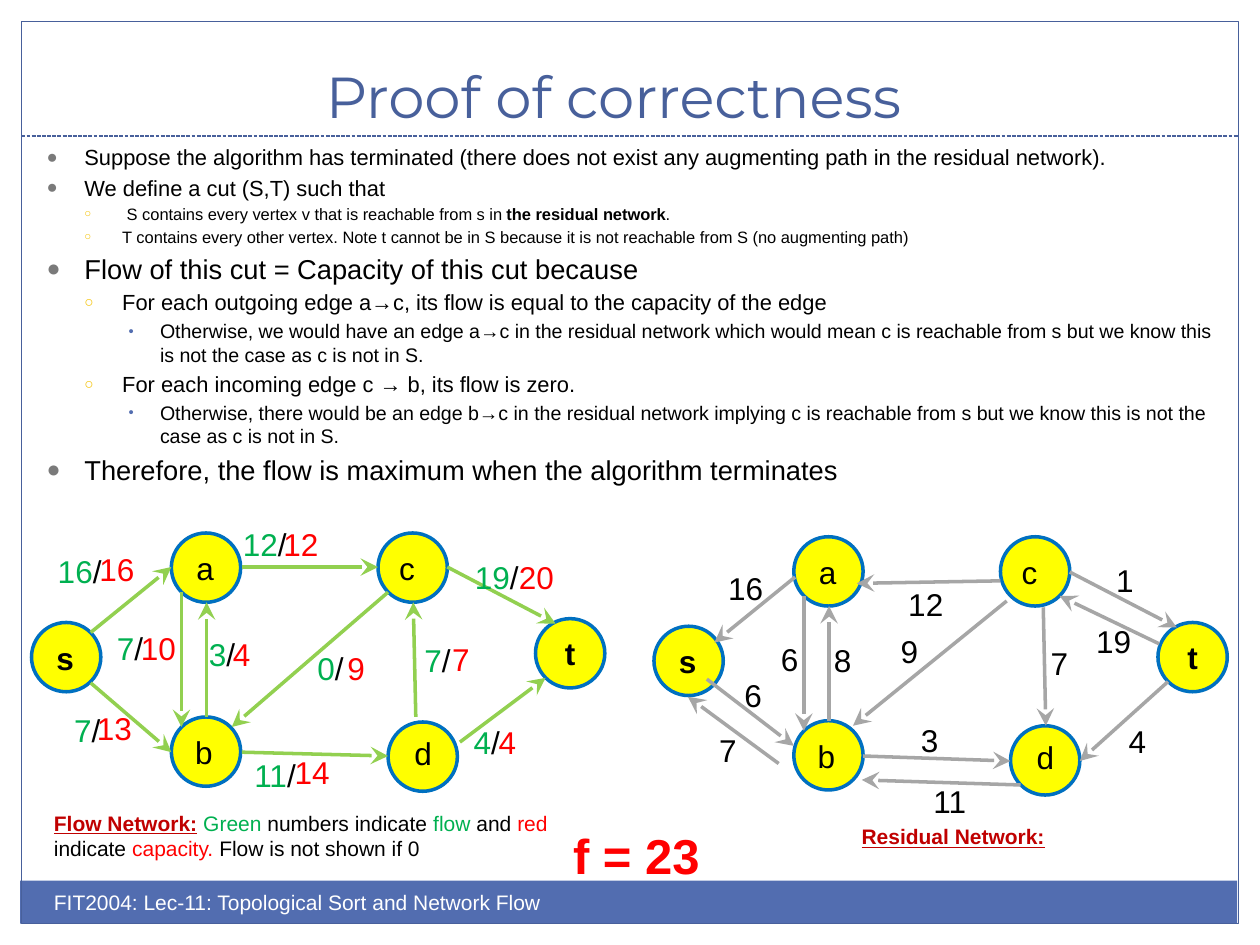
"""Build the max-flow proof slide with a flow network and its residual network."""
from dataclasses import dataclass
from typing import Any, Optional

import lxml.etree
import pptx
import pptx.dml.color
import pptx.enum.dml
import pptx.enum.shapes
import pptx.enum.text
import pptx.oxml.ns
import pptx.util

RGBColor = pptx.dml.color.RGBColor
BLACK = RGBColor(0x00, 0x00, 0x00)
WHITE = RGBColor(0xFF, 0xFF, 0xFF)
RED = RGBColor(0xFF, 0x00, 0x00)
DARK_RED = RGBColor(0xC0, 0x00, 0x00)
GREEN = RGBColor(0x00, 0xB0, 0x50)
LIME = RGBColor(0x92, 0xD0, 0x50)
GREY = RGBColor(0xA6, 0xA6, 0xA6)
YELLOW = RGBColor(0xFF, 0xFF, 0x00)
RING_BLUE = RGBColor(0x00, 0x70, 0xC0)
NAVY = RGBColor(0x48, 0x60, 0x9B)
BAR_BLUE = RGBColor(0x52, 0x6D, 0xB0)

PX = 9144
NODE_SIZE = 55
RESIDUAL_SHIFT = (494, 3)
SHAPES = pptx.enum.shapes.MSO_SHAPE
ANCHOR = pptx.enum.text.MSO_ANCHOR
ALIGN = pptx.enum.text.PP_ALIGN
AUTO_SIZE = pptx.enum.text.MSO_AUTO_SIZE


@dataclass(frozen=True)
class Bullet:
    char: str
    color: str
    percent: int
    left: int
    hang: int


@dataclass(frozen=True)
class Item:
    level: int
    size: float
    phrases: tuple[str, ...]


@dataclass(frozen=True)
class Node:
    name: str
    left: int
    top: int
    letter: Optional[tuple[int, int]] = (10, 8)
    bold: bool = False


@dataclass(frozen=True)
class Edge:
    x1: int
    y1: int
    x2: int
    y2: int


@dataclass(frozen=True)
class Label:
    text: str
    left: int
    top: int


BULLETS = (Bullet("●", "7A7A7A", 85, 30, 30), Bullet("○", "F5C201", 70, 60, 30),
           Bullet("•", "526DB0", 75, 90, 25))
ITEMS = (
    Item(0, 12.5, ("Suppose the algorithm has terminated (there does not exist any "
                   "augmenting path in the residual network).",)),
    Item(0, 12.5, ("We define a cut (S,T) such that",)),
    Item(1, 9.4, (" S contains every vertex v that is reachable from s in ",
                  "the residual network", ".")),
    Item(1, 9.4, ("T contains every other vertex. Note t cannot be in S because it is "
                  "not reachable from S (no augmenting path)",)),
    Item(0, 15.6, ("Flow of this cut = Capacity of this cut because",)),
    Item(1, 12.5, ("For each outgoing edge a→c, its flow is equal to the capacity of the edge",)),
    Item(2, 11.2, ("Otherwise, we would have an edge a→c in the residual network which would "
                   "mean c is reachable from s but we know this is not the case as c is not in S.",)),
    Item(1, 12.5, ("For each incoming edge c → b, its flow is zero.",)),
    Item(2, 11.2, ("Otherwise, there would be an edge b→c in the residual network implying c is "
                   "reachable from s but we know this is not the case as c is not in S.",)),
    Item(0, 15.6, ("Therefore, the flow is maximum when the algorithm terminates",)),
)
NODES = (Node("b", 136, 569, (9, 8)), Node("a", 136, 423), Node("d", 308, 573, (11, 5)),
         Node("c", 300, 423, (7, 8)), Node("s", 25, 494, bold=True),
         Node("t", 425, 491, None, True))
FLOW_EDGES = (
    Edge(72, 502, 136, 450), Edge(72, 542, 136, 597), Edge(144, 470, 144, 577),
    Edge(192, 450, 300, 450), Edge(355, 450, 441, 495), Edge(330, 569, 328, 478),
    Edge(308, 470, 184, 577), Edge(164, 569, 164, 478), Edge(192, 597, 308, 600),
    Edge(365, 589, 433, 538))
RESIDUAL_EDGES = (
    Edge(561, 539, 630, 592), Edge(638, 473, 638, 580), Edge(849, 454, 934, 498),
    Edge(799, 477, 677, 576), Edge(658, 572, 658, 481), Edge(685, 600, 802, 604),
    Edge(927, 541, 857, 604), Edge(631, 458, 567, 510), Edge(794, 461, 680, 463),
    Edge(810, 623, 684, 619), Edge(828, 482, 830, 576), Edge(920, 511, 841, 473),
    Edge(618, 606, 546, 553))
CAPACITIES = (
    Label("16", 69, 432), Label("13", 67, 558), Label("10", 102, 494), Label("4", 175, 499),
    Label("9", 266, 510), Label("14", 224, 593), Label("20", 402, 438), Label("7", 349, 503),
    Label("12", 215, 412), Label("4", 386, 569))
FLOWS = (
    Label("12", 183, 412), Label("0", 242, 510), Label("11", 192, 595), Label("4", 366, 569),
    Label("7", 83, 494), Label("7", 327, 504), Label("19", 367, 438), Label("16", 36, 433),
    Label("7", 49, 559), Label("3", 156, 499))
RESIDUALS = (
    Label("6", 581, 532), Label("6", 610, 503), Label("8", 652, 504), Label("9", 705, 497),
    Label("3", 721, 567), Label("1", 876, 440), Label("7", 824, 506), Label("4", 886, 568),
    Label("16", 568, 447), Label("12", 711, 459), Label("11", 731, 616),
    Label("19", 860, 489), Label("7", 561, 575))
LEGEND = ((" Green", GREEN), (" numbers indicate ", BLACK), ("flow", GREEN), (" and ", BLACK),
          ("red", RED), (" indicate ", BLACK), ("capacity. ", RED),
          ("Flow is not shown if 0", BLACK))


def add_span(para: Any, text: str, *, size: float = 18, color: RGBColor = BLACK,
             bold: bool = False, underline: bool = False, font: str = "Arial") -> None:
    """Append one formatted run."""
    span = para.add_run()
    span.text = text
    span.font.name, span.font.size = font, pptx.util.Pt(size)
    span.font.bold, span.font.underline = bold, underline
    span.font.color.rgb = color


def place(shape: Any, left: int, top: int, width: int, height: int) -> None:
    """Move and size a shape."""
    shape.left, shape.top, shape.width, shape.height = (
        side * PX for side in (left, top, width, height))


def add_box(page: Any, left: int, top: int, width: int, height: int, wrap: bool = False) -> Any:
    """Add a text box and return its first paragraph."""
    box = page.shapes.add_textbox(left * PX, top * PX, width * PX, height * PX)
    box.text_frame.word_wrap = wrap
    box.text_frame.auto_size = AUTO_SIZE.SHAPE_TO_FIT_TEXT
    return box.text_frame.paragraphs[0]


def add_shape(page: Any, kind: Any, left: int, top: int, width: int, height: int,
              fill: Optional[RGBColor], line: Optional[RGBColor], weight: float = 0.75) -> Any:
    """Add a flat preset shape."""
    shape = page.shapes.add_shape(kind, left * PX, top * PX, width * PX, height * PX)
    shape.shadow.inherit = False
    for paint, color in ((shape.fill, fill), (shape.line.fill, line)):
        if color is None:
            paint.background()
        else:
            paint.solid()
            paint.fore_color.rgb = color
    if line is not None:
        shape.line.width = pptx.util.Pt(weight)
    return shape


def add_line(page: Any, edge: Edge, color: RGBColor, weight: float, arrow: bool = True) -> Any:
    """Add a straight line, with an arrowhead at its end if wanted."""
    line = page.shapes.add_connector(pptx.enum.shapes.MSO_CONNECTOR.STRAIGHT, edge.x1 * PX,
                                     edge.y1 * PX, edge.x2 * PX, edge.y2 * PX)
    line.line.color.rgb, line.line.width = color, pptx.util.Pt(weight)
    properties = line.element.spPr
    if arrow:
        lxml.etree.SubElement(properties.find(pptx.oxml.ns.qn("a:ln")),
                              pptx.oxml.ns.qn("a:tailEnd"), type="stealth", w="lg", len="lg")
    lxml.etree.SubElement(properties, pptx.oxml.ns.qn("a:effectLst"))
    return line


def set_bullet(para: Any, bullet: Bullet) -> None:
    """Give a paragraph its bullet and hanging indent."""
    properties = para._p.get_or_add_pPr()
    properties.set("marL", str(bullet.left * PX))
    properties.set("indent", str(-bullet.hang * PX))
    qn = pptx.oxml.ns.qn
    color = lxml.etree.SubElement(properties, qn("a:buClr"))
    lxml.etree.SubElement(color, qn("a:srgbClr"), val=bullet.color)
    lxml.etree.SubElement(properties, qn("a:buSzPct"), val=str(bullet.percent * 1000))
    lxml.etree.SubElement(properties, qn("a:buFont"), typeface="Arial")
    lxml.etree.SubElement(properties, qn("a:buChar"), char=bullet.char)


def fill_placeholders(page: Any) -> None:
    """Write the title and the bulleted argument."""
    title, body = page.shapes.title, page.placeholders[1]
    place(title, 8, 25, 958, 83)
    place(body, 27, 109, 948, 262)
    for holder, anchor in ((title, ANCHOR.BOTTOM), (body, ANCHOR.TOP)):
        holder.text_frame.auto_size = AUTO_SIZE.NONE
        holder.text_frame.vertical_anchor = anchor
    heading = title.text_frame.paragraphs[0]
    heading.alignment = ALIGN.CENTER
    add_span(heading, "Proof of correctness", size=33, color=NAVY, font="Montserrat")
    for index, item in enumerate(ITEMS):
        para = body.text_frame.add_paragraph() if index else body.text_frame.paragraphs[0]
        para.level = item.level
        set_bullet(para, BULLETS[item.level])
        if index == 0:
            para.space_before = pptx.util.Pt(0)
        for order, phrase in enumerate(item.phrases):
            add_span(para, phrase, size=item.size, bold=order == 1)


def draw_graph(page: Any, edges: tuple[Edge, ...], color: RGBColor,
               shift: tuple[int, int] = (0, 0)) -> None:
    """Draw the six vertices and the given edges."""
    for node in NODES:
        left, top = node.left + shift[0], node.top + shift[1]
        circle = add_shape(page, SHAPES.OVAL, left, top, NODE_SIZE, NODE_SIZE,
                           YELLOW, RING_BLUE, 2)
        if node.letter:
            para = add_box(page, left + node.letter[0], top + node.letter[1], 34, 40)
        else:
            circle.text_frame.vertical_anchor = ANCHOR.MIDDLE
            para = circle.text_frame.paragraphs[0]
            para.alignment = ALIGN.CENTER
        add_span(para, node.name, bold=node.bold)
    for edge in edges:
        add_line(page, edge, color, 2)


def draw_labels(page: Any, labels: tuple[Label, ...], color: RGBColor, slash: bool = False) -> None:
    """Write edge numbers, each followed by a slash if wanted."""
    for label in labels:
        width = 20 + 14 * len(label.text) + 7 * slash
        para = add_box(page, label.left, label.top, width, 40)
        add_span(para, label.text, color=color)
        if slash:
            add_span(para, "/")


def main() -> None:
    """Build and save the deck."""
    deck = pptx.Presentation()
    deck.slide_width, deck.slide_height = 1000 * PX, 750 * PX
    page = deck.slides.add_slide(deck.slide_layouts[1])
    add_shape(page, SHAPES.RECTANGLE, 16, 699, 966, 34, BAR_BLUE, None)
    add_shape(page, SHAPES.RECTANGLE, 17, 17, 966, 716, None, NAVY)
    rule = add_line(page, Edge(17, 108, 983, 108), NAVY, 0.75, arrow=False)
    rule.line.dash_style = pptx.enum.dml.MSO_LINE.SQUARE_DOT
    fill_placeholders(page)
    add_span(add_box(page, 33, 701, 500, 40, wrap=True),
             "FIT2004: Lec-11: Topological Sort and Network Flow", size=12, color=WHITE)
    draw_graph(page, FLOW_EDGES, LIME)
    draw_graph(page, RESIDUAL_EDGES, GREY, RESIDUAL_SHIFT)
    draw_labels(page, CAPACITIES, RED)
    draw_labels(page, FLOWS, GREEN, slash=True)
    draw_labels(page, RESIDUALS, BLACK)
    legend = add_box(page, 33, 638, 447, 50, wrap=True)
    add_span(legend, "Flow Network:", size=12, color=DARK_RED, bold=True, underline=True)
    for text, color in LEGEND:
        add_span(legend, text, size=12, color=color)
    add_span(add_box(page, 674, 649, 300, 30, wrap=True), "Residual Network:", size=12,
             color=DARK_RED, bold=True, underline=True)
    add_span(add_box(page, 445, 650, 122, 57), "f = 23", size=28, color=RED, bold=True)
    deck.save("out.pptx")


if __name__ == "__main__":
    main()
